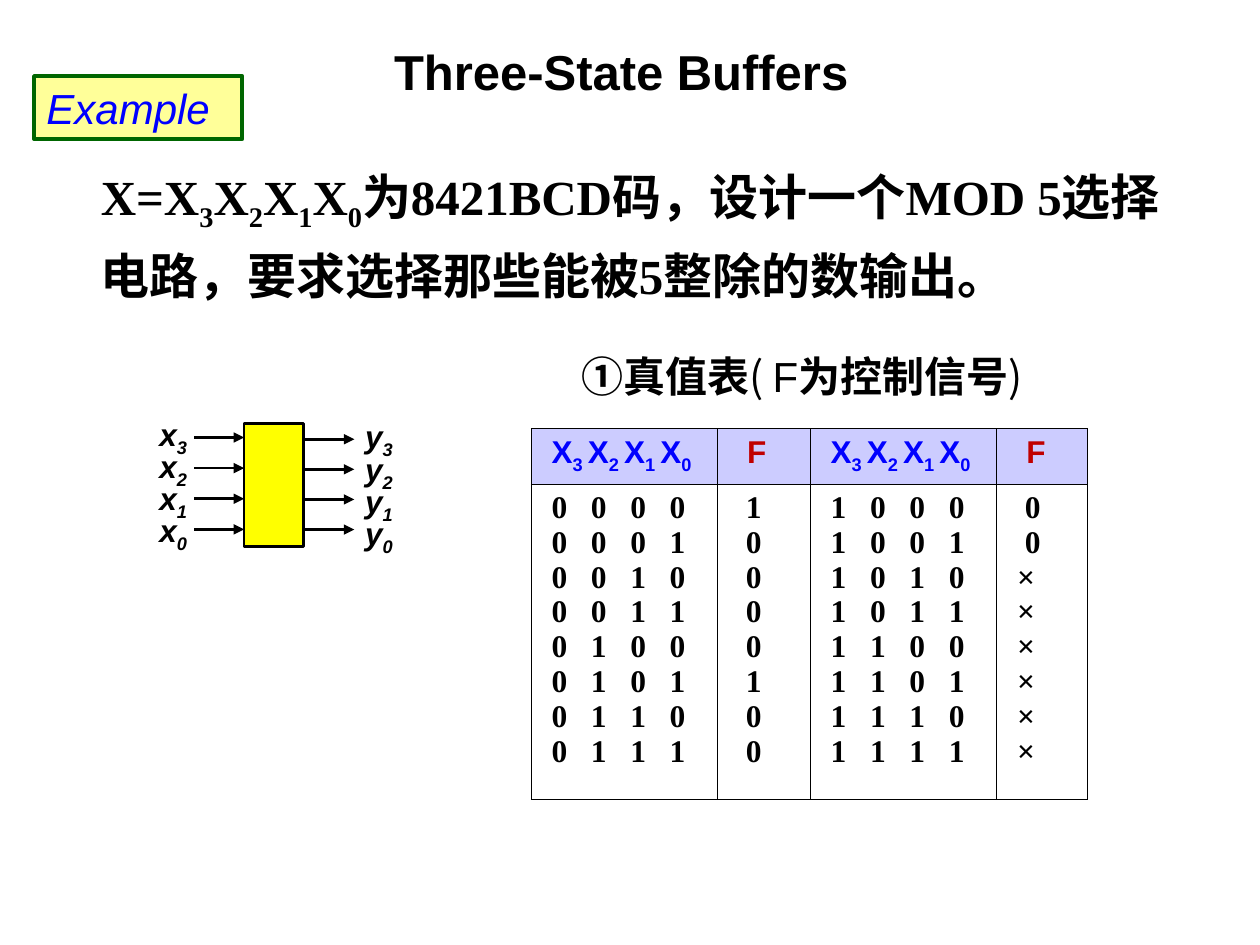
from dataclasses import dataclass

from lxml.etree import SubElement
from pptx import Presentation
from pptx.dml.color import RGBColor
from pptx.enum.shapes import MSO_CONNECTOR, MSO_SHAPE
from pptx.enum.text import MSO_ANCHOR, MSO_AUTO_SIZE, PP_ALIGN
from pptx.oxml.ns import qn
from pptx.util import Pt


@dataclass(frozen=True)
class Theme:
    sans: str = "Arial"
    serif: str = "Times New Roman"
    chinese: str = "Noto Sans CJK SC"
    heading: int = 28
    note: int = 24
    small: int = 18
    black: str = "000000"
    blue: str = "0000FF"
    red: str = "C00000"
    green: str = "006600"
    yellow: str = "FFFF00"
    pale_yellow: str = "FFFF99"
    header: str = "CCCCFF"


THEME = Theme()


def color(value):
    return RGBColor.from_string(value)


def write_runs(paragraph, parts, **base):
    """Add (text, changes) runs; the changes override the base format."""
    for text, changes in parts:
        style = {"name": THEME.sans, "size": THEME.small, "bold": True,
                 "color": THEME.black, **base, **changes}
        run = paragraph.add_run()
        run.text = text
        run.font.color.rgb = color(style.pop("color"))
        subscript = style.pop("subscript", False)
        style["size"] = Pt(style["size"])
        for name, value in style.items():
            setattr(run.font, name, value)
        properties = run._r.get_or_add_rPr()
        SubElement(properties, qn("a:ea"), typeface=THEME.chinese)
        if subscript:
            properties.set("baseline", "-25000")


def indexed(letter, indexes, gap=""):
    """Runs for a letter with each index as a subscript, divided by the gap."""
    parts = []
    for index in indexes:
        space = gap if index != indexes[-1] else ""
        parts += [(letter, {}), (index + space, {"subscript": True})]
    return parts


def format_frame(shape):
    frame = shape.text_frame
    settings = {"word_wrap": True, "auto_size": MSO_AUTO_SIZE.NONE,
                "vertical_anchor": MSO_ANCHOR.TOP,
                "margin_left": Pt(7.2), "margin_right": Pt(7.2),
                "margin_top": Pt(3.6), "margin_bottom": Pt(3.6)}
    for name, value in settings.items():
        setattr(frame, name, value)
    paragraph = frame.paragraphs[0]
    paragraph.alignment = PP_ALIGN.LEFT
    return paragraph


def add_text(shapes, box, parts, **base):
    paragraph = format_frame(shapes.add_textbox(*map(Pt, box)))
    write_runs(paragraph, parts, **base)
    return paragraph


def add_box(shapes, box, fill, line, width):
    shape = shapes.add_shape(MSO_SHAPE.RECTANGLE, *map(Pt, box))
    shape.shadow.inherit = False
    shape.fill.solid()
    shape.fill.fore_color.rgb = color(fill)
    shape.line.color.rgb = color(line)
    shape.line.width = Pt(width)
    return shape


def add_arrow(shapes, left, right, y):
    arrow = shapes.add_connector(MSO_CONNECTOR.STRAIGHT, Pt(left), Pt(y), Pt(right), Pt(y))
    arrow.line.color.rgb = color(THEME.black)
    arrow.line.width = Pt(1.5)
    SubElement(arrow.line._get_or_add_ln(), qn("a:tailEnd"), type="triangle")
    SubElement(arrow._element.spPr, qn("a:effectLst"))


def add_title(slide, box):
    title = slide.shapes.title
    title.left, title.top, title.width, title.height = map(Pt, box)
    write_runs(format_frame(title), [("Three-State Buffers", {})], size=THEME.heading)


def add_example_tag(slide, box):
    tag = add_box(slide.shapes, box, THEME.pale_yellow, THEME.green, 2.25)
    write_runs(format_frame(tag), [("Example", {})], size=THEME.note,
               color=THEME.blue, bold=False, italic=True)


def add_problem(slide, box):
    chinese = {"name": THEME.chinese}
    paragraph = add_text(slide.shapes, box, [
        ("X=", {}), *indexed("X", "3210"), ("为", chinese), ("8421BCD", {}),
        ("码，设计一个", chinese), ("MOD 5", {}),
        ("选择电路，要求选择那些能被", chinese), ("5", {}),
        ("整除的数输出", chinese), ("。", {})],
        name=THEME.serif, size=THEME.heading)
    paragraph.line_spacing = 1.2


def add_table_caption(slide, box):
    light = {"bold": False}
    add_text(slide.shapes, box, [
        ("①真值表", {}), ("( ", light), ("F", {"name": THEME.sans, **light}),
        ("为控制信号", {}), (")", light)],
        name=THEME.chinese, size=THEME.note)


def add_block_diagram(slide, box):
    left, top, width, height = box
    shapes = slide.shapes.add_group_shape().shapes
    block_left, block_width, arrow_length = left + 55.5, 34, 28.5
    block_right = block_left + block_width
    add_box(shapes, (block_left, top + 8.5, block_width, 70.5), THEME.yellow, THEME.black, 1.5)
    sides = [  # letter, label left, label top, arrow left, first arrow, arrow step
        ("x", left, top, block_left - arrow_length, top + 16.5, 17.5),
        ("y", left + width - 48, top + 1.5, block_right + 0.5, top + 17.5, 17.2),
    ]
    for letter, label_left, label_top, arrow_left, arrow_top, step in sides:
        for row, index in enumerate("3210"):
            add_arrow(shapes, arrow_left, arrow_left + arrow_length, arrow_top + row * step)
            add_text(shapes, (label_left, label_top + row * 18.4, 48, 32),
                     indexed(letter, index), italic=True)


def format_cell(cell, fill=None):
    cell.margin_left = Pt(11.7)
    if fill:
        cell.fill.solid()
        cell.fill.fore_color.rgb = color(fill)
    else:
        cell.fill.background()
    properties = cell._tc.get_or_add_tcPr()
    for position, side in enumerate(("lnL", "lnR", "lnT", "lnB")):
        border = SubElement(properties, qn(f"a:{side}"), w=str(Pt(0.45)))
        solid = SubElement(border, qn("a:solidFill"))
        SubElement(solid, qn("a:srgbClr"), val=THEME.black)
        properties.insert(position, border)


def write_lines(cell, lines):
    """Write digit rows on tab stops; single digits are indented, × is not."""
    frame = cell.text_frame
    for row, line in enumerate(lines):
        paragraph = frame.paragraphs[0] if row == 0 else frame.add_paragraph()
        properties = paragraph._p.get_or_add_pPr()
        if "\t" in line:
            tabs = SubElement(properties, qn("a:tabLst"))
            for stop in range(1, 4):
                SubElement(tabs, qn("a:tab"), pos=str(Pt(22.5 * stop)), algn="l")
        elif line != "×":
            properties.set("marL", str(Pt(4.5)))
            properties.set("indent", "0")
        write_runs(paragraph, [(line, {})], name=THEME.serif)


def control_value(number):
    if number > 9:
        return "×"
    return "1" if number in (0, 5) else "0"


def add_truth_table(slide, box):
    table = slide.shapes.add_table(2, 4, *map(Pt, box)).table
    table.first_row = table.horz_banding = False
    for column, width in zip(table.columns, (106.5, 53, 106.5, 52)):
        column.width = Pt(width)
    for row, height in zip(table.rows, (31.5, 180)):
        row.height = Pt(height)
    for column in range(4):
        header, body = table.cell(0, column), table.cell(1, column)
        format_cell(header, THEME.header)
        format_cell(body)
        numbers = range(8) if column < 2 else range(8, 16)
        paragraph = header.text_frame.paragraphs[0]
        if column % 2:
            header.margin_left = Pt(17)
            write_runs(paragraph, [("F", {})], color=THEME.red)
            write_lines(body, [control_value(number) for number in numbers])
        else:
            write_runs(paragraph, indexed("X", "3210", " "), color=THEME.blue)
            write_lines(body, ["\t".join(f"{number:04b}") for number in numbers])


def main():
    presentation = Presentation()
    presentation.slide_width, presentation.slide_height = Pt(720), Pt(540)
    slide = presentation.slides.add_slide(presentation.slide_layouts[5])
    add_title(slide, (218, 20, 306, 41))
    add_problem(slide, (50.5, 84, 636.5, 79))
    add_example_tag(slide, (19.5, 43.5, 119, 36))
    add_table_caption(slide, (325, 196.5, 293, 65))
    add_truth_table(slide, (303.5, 245, 318, 211.5))
    add_block_diagram(slide, (84, 233.5, 165.5, 87))
    presentation.save("out.pptx")


if __name__ == "__main__":
    main()
